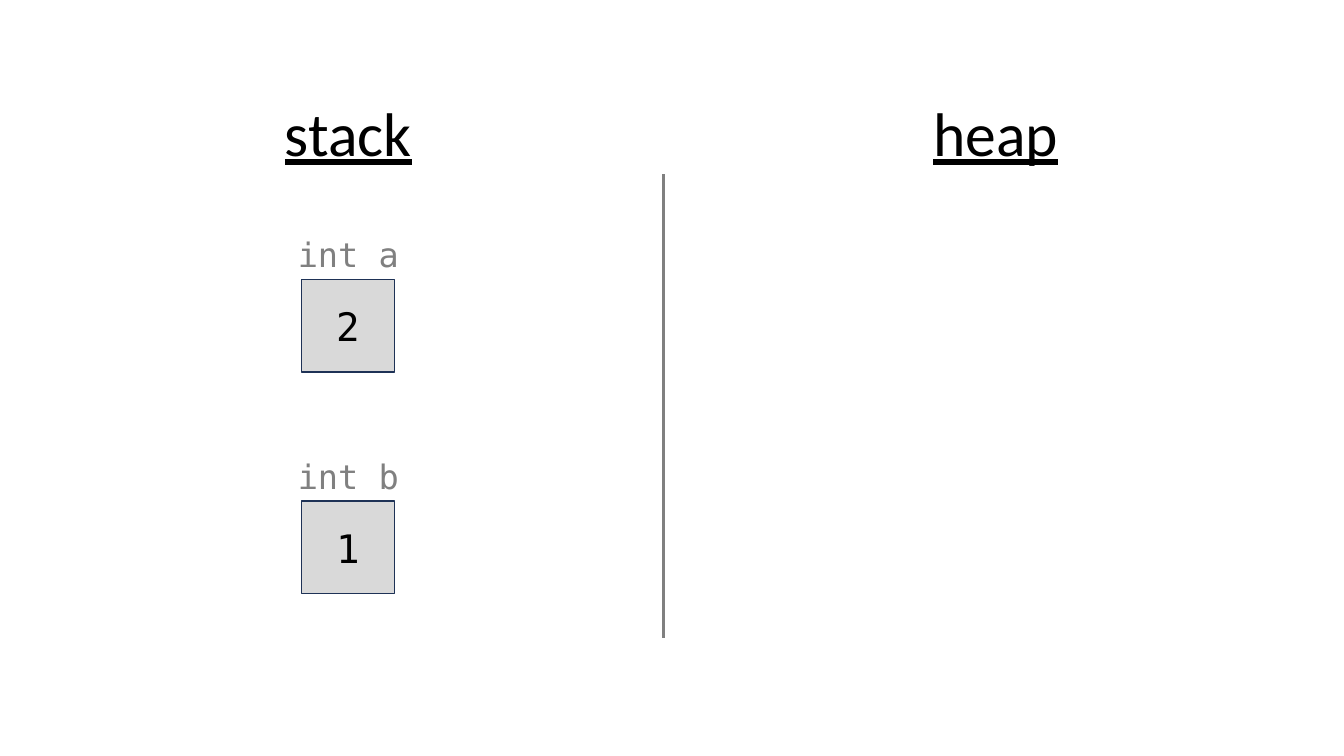
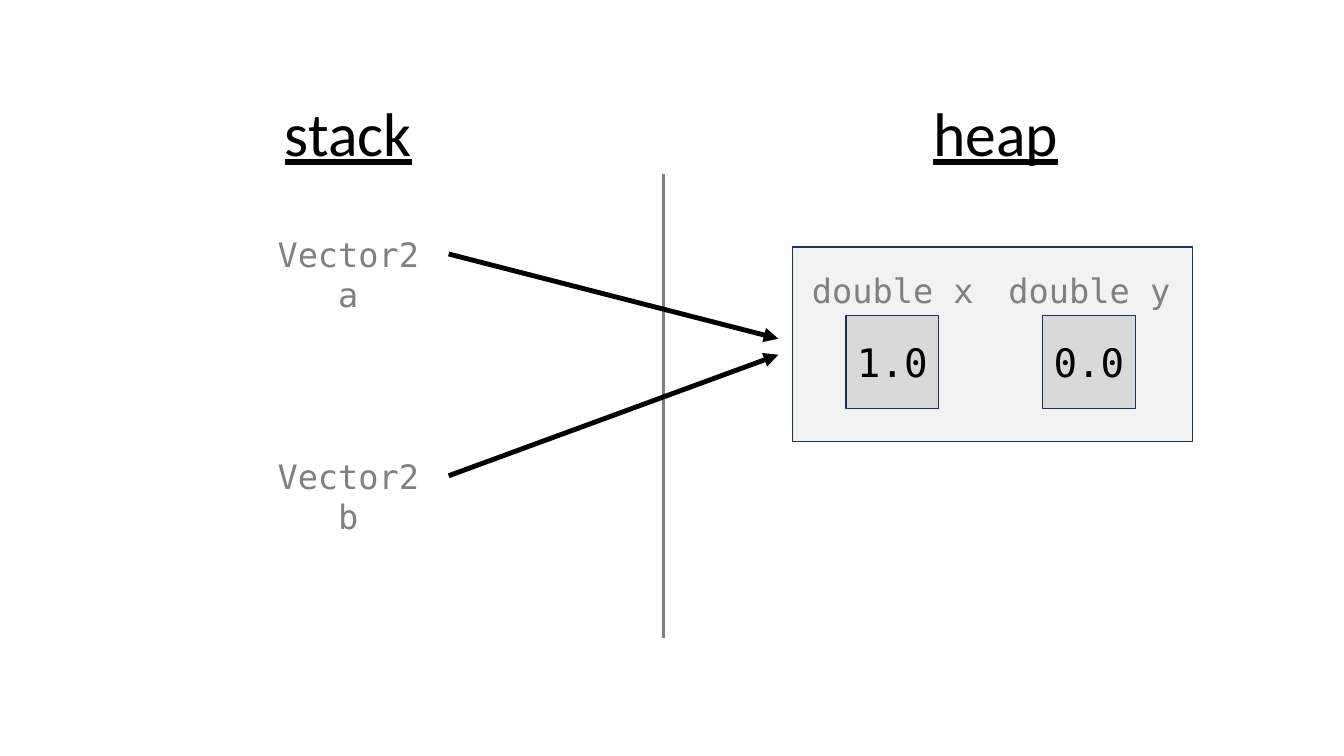
from lxml import etree
from pptx import Presentation
from pptx.dml.color import RGBColor
from pptx.enum.shapes import MSO_CONNECTOR, MSO_SHAPE
from pptx.enum.text import MSO_ANCHOR, MSO_AUTO_SIZE, PP_ALIGN
from pptx.oxml.ns import qn
from pptx.util import Emu, Pt

RECT = MSO_SHAPE.RECTANGLE
STRAIGHT = MSO_CONNECTOR.STRAIGHT
MIDDLE = MSO_ANCHOR.MIDDLE
GROW = MSO_AUTO_SIZE.SHAPE_TO_FIT_TEXT
CENTER = PP_ALIGN.CENTER

BLACK = RGBColor(0x00, 0x00, 0x00)
GRAY = RGBColor(0x80, 0x80, 0x80)
SILVER = RGBColor(0xD9, 0xD9, 0xD9)
PALE = RGBColor(0xF2, 0xF2, 0xF2)
NAVY = RGBColor(0x1E, 0x32, 0x56)

SANS = "Calibri"
MONO = "DejaVu Sans Mono"

SCALE = 9144
BLANK = 6
CELL = 92
SLOT = 251
LABEL = 50
ROWS = (227, 447)
SIDES = (("stack", 182), ("heap", 824))
HEAP = (786, 245, 397, 193)


def px(*sizes):
    return [Emu(size * SCALE) for size in sizes]


def write(shape, text, font, size, color, under=None):
    para = shape.text_frame.paragraphs[0]
    para.alignment = CENTER
    run = para.add_run()
    run.text = text
    run.font.name = font
    run.font.size = Pt(size)
    run.font.color.rgb = color
    run.font.underline = under


def add_text(slide, box, *style):
    shape = slide.shapes.add_textbox(*px(*box))
    shape.text_frame.word_wrap = True
    shape.text_frame.auto_size = GROW
    write(shape, *style)


def add_rect(slide, box, fill):
    shape = slide.shapes.add_shape(RECT, *px(*box))
    shape.shadow.inherit = False
    shape.fill.solid()
    shape.fill.fore_color.rgb = fill
    shape.line.color.rgb = NAVY
    shape.line.width = Pt(1)
    return shape


def add_line(slide, ends, color, width, arrow=False):
    line = slide.shapes.add_connector(STRAIGHT, *px(*ends))
    line.line.color.rgb = color
    line.line.width = Pt(width)
    props = line._element.spPr
    if arrow:
        tip = etree.SubElement(props.find(qn("a:ln")), qn("a:tailEnd"))
        tip.set("type", "triangle")
    etree.SubElement(props, qn("a:effectLst"))


def add_label(slide, x, y, width, name):
    add_text(slide, (x, y, width, LABEL), name, MONO, 24, GRAY)


def add_slot(slide, x, y, name, value):
    left = x + (SLOT - CELL) // 2
    cell = add_rect(slide, (left, y + LABEL, CELL, CELL), SILVER)
    frame = cell.text_frame
    frame.margin_left = frame.margin_right = 0
    frame.vertical_anchor = MIDDLE
    write(cell, value, MONO, 28, BLACK)
    add_label(slide, x, y, SLOT, name)


def add_frame(deck):
    slide = deck.slides.add_slide(deck.slide_layouts[BLANK])
    for name, x in SIDES:
        add_text(slide, (x, 89, 327, 84), name, SANS, 44, BLACK, True)
    add_line(slide, (658, 173, 658, 633), GRAY, 2.5)
    return slide


def add_object(slide, box, fields):
    x, y, width, height = box
    add_rect(slide, box, PALE)
    for col, (name, value) in enumerate(fields):
        add_slot(slide, x - 26 + 195 * col, y + 18, name, value)


def add_refs(slide, x, names, box):
    width = 199
    for row, (name, y) in enumerate(zip(names, ROWS)):
        add_label(slide, x, y, width, name)
        ends = (x + width, y + LABEL // 2, box[0] - 14, box[1] + 91 + 16 * row)
        add_line(slide, ends, BLACK, 3.5, True)


def value_slide(deck, fields):
    slide = add_frame(deck)
    for (name, value), y in zip(fields, ROWS):
        add_slot(slide, 220, y, name, value)


def object_slide(deck, names, fields):
    slide = add_frame(deck)
    add_object(slide, HEAP, fields)
    add_refs(slide, 246, names, HEAP)


def main():
    deck = Presentation()
    deck.slide_width, deck.slide_height = px(1333, 750)
    value_slide(deck, (("int a", "2"), ("int b", "1")))
    object_slide(
        deck,
        ("Vector2 a", "Vector2 b"),
        (("double x", "1.0"), ("double y", "0.0")),
    )
    deck.save("out.pptx")


if __name__ == "__main__":
    main()
